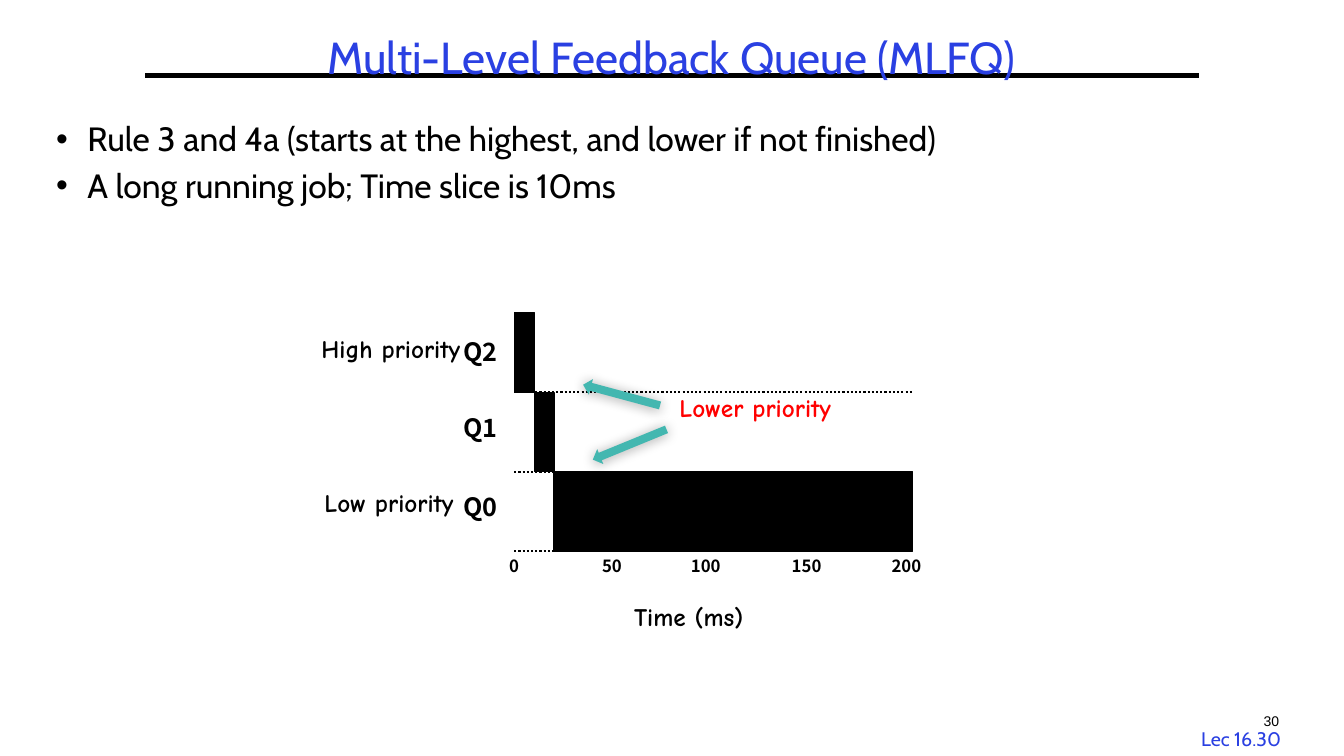
from dataclasses import dataclass

from lxml import etree
from pptx import Presentation
from pptx.dml.color import RGBColor
from pptx.enum.dml import MSO_LINE
from pptx.enum.shapes import MSO_CONNECTOR, MSO_SHAPE
from pptx.enum.text import MSO_ANCHOR, PP_ALIGN
from pptx.oxml.ns import qn
from pptx.util import Inches, Pt

CENTER, LEFT = PP_ALIGN.CENTER, PP_ALIGN.LEFT
TOP, MIDDLE = MSO_ANCHOR.TOP, MSO_ANCHOR.MIDDLE
RECT, LEFT_ARROW = MSO_SHAPE.RECTANGLE, MSO_SHAPE.LEFT_ARROW
STRAIGHT, DOTTED = MSO_CONNECTOR.STRAIGHT, MSO_LINE.ROUND_DOT

CABIN, COMIC, NOTO = "Cabin", "Comic Neue", "Noto Sans CJK KR"
BLACK, BLUE, RED, TEAL = "000000", "2A40E2", "FF0000", "43B7B0"

CHART_LEFT, CHART_RIGHT, CHART_TOP = 5.1, 9.05, 3.1
QUEUE_H = 0.79
INCHES_PER_MS = (CHART_RIGHT - CHART_LEFT) / 200


@dataclass
class Label:
    text: str
    x: float
    y: float
    w: float
    h: float
    size: float
    font: str
    color: str = BLACK
    bold: bool = False
    align: PP_ALIGN = CENTER
    anchor: MSO_ANCHOR = TOP
    wrap: bool = True
    spacing: float = 1.0


@dataclass
class Queue:
    name: str
    label_y: float
    start_ms: float
    run_ms: float


@dataclass
class Arrow:
    x: float
    y: float
    rotation: float


QUEUES = [
    Queue("Q2", 3.29, 0, 10),
    Queue("Q1", 4.04, 10, 10),
    Queue("Q0", 4.83, 20, 180),
]
TICKS = [("0", 5.1), ("50", 6.07), ("100", 7.0), ("150", 8.0), ("200", 8.99)]
NOTES = [
    ("Time (ms)", 6.19, 5.92, 1.4, BLACK),
    ("High priority", 3.09, 3.26, 1.76, BLACK),
    ("Low priority", 3.12, 4.79, 1.67, BLACK),
    ("Lower priority", 6.64, 3.84, 1.93, RED),
]
ARROWS = [Arrow(5.77, 3.84, 15.1), Arrow(5.85, 4.33, 337.7)]
BULLETS = [
    "Rule 3 and 4a (starts at the highest, and lower if not finished)",
    "A long running job; Time slice is 10ms",
]


def rgb(color: str) -> RGBColor:
    return RGBColor.from_string(color)


def style_runs(p, size: float, font: str, color: str, bold: bool = False) -> None:
    for r in p.runs:
        r.font.size = Pt(size)
        r.font.name = font
        r.font.bold = bold
        r.font.color.rgb = rgb(color)


def add_label(slide, label: Label) -> None:
    sp = slide.shapes.add_textbox(
        Inches(label.x), Inches(label.y), Inches(label.w), Inches(label.h))
    tf = sp.text_frame
    tf.word_wrap = label.wrap
    tf.vertical_anchor = label.anchor
    tf.text = label.text
    p = tf.paragraphs[0]
    p.alignment = label.align
    p.line_spacing = label.spacing
    style_runs(p, label.size, label.font, label.color, label.bold)


def add_rule(slide, x1: float, x2: float, y: float, width: float, dash=None) -> None:
    line = slide.shapes.add_connector(
        STRAIGHT, Inches(x1), Inches(y), Inches(x2), Inches(y))
    line.line.color.rgb = rgb(BLACK)
    line.line.width = Pt(width)
    if dash is not None:
        line.line.dash_style = dash
    etree.SubElement(line._element.spPr, qn("a:effectLst"))


def add_bullets(slide, texts: list[str]) -> None:
    sp = slide.shapes.add_textbox(Inches(0.46), Inches(1.17), Inches(12.4), Inches(5.62))
    tf = sp.text_frame
    tf.word_wrap = True
    tf.text = "\n".join(texts)
    for i, p in enumerate(tf.paragraphs):
        pPr = p._p.get_or_add_pPr()
        pPr.set("marL", str(Inches(0.31)))
        pPr.set("indent", str(Inches(-0.31)))
        etree.SubElement(pPr, qn("a:buFont")).set("typeface", "Arial")
        etree.SubElement(pPr, qn("a:buChar")).set("char", "•")
        p.line_spacing = 0.9
        if i:
            p.space_before = Pt(7)
        style_runs(p, 24, CABIN, BLACK)


def add_queue(slide, queue: Queue, top: float) -> None:
    add_rule(slide, CHART_LEFT, CHART_RIGHT, top + QUEUE_H, 1.5, DOTTED)
    sp = slide.shapes.add_shape(
        RECT, Inches(CHART_LEFT + queue.start_ms * INCHES_PER_MS), Inches(top),
        Inches(queue.run_ms * INCHES_PER_MS), Inches(QUEUE_H))
    sp.shadow.inherit = False
    sp.fill.solid()
    sp.fill.fore_color.rgb = rgb(BLACK)
    sp.line.color.rgb = rgb(BLACK)
    sp.line.width = Pt(0.75)
    add_label(slide, Label(queue.name, 4.42, queue.label_y, 0.69, 0.4, 18, NOTO, bold=True))


def add_arrow(slide, arrow: Arrow) -> None:
    sp = slide.shapes.add_shape(
        LEFT_ARROW, Inches(arrow.x), Inches(arrow.y), Inches(0.79), Inches(0.16))
    sp.rotation = arrow.rotation
    sp.fill.solid()
    sp.fill.fore_color.rgb = rgb(TEAL)
    sp.line.fill.background()
    sp.shadow.inherit = False
    effects = sp._element.spPr.find(qn("a:effectLst"))
    shadow = etree.SubElement(effects, qn("a:outerShdw"), blurRad=str(Pt(9)),
                              dist=str(Pt(1)), dir="5400000", rotWithShape="0")
    tint = etree.SubElement(shadow, qn("a:srgbClr"), val=BLACK)
    etree.SubElement(tint, qn("a:alpha"), val="35000")


def main() -> None:
    prs = Presentation()
    prs.slide_width, prs.slide_height = Inches(13.33), Inches(7.5)
    slide = prs.slides.add_slide(prs.slide_layouts[6])

    add_label(slide, Label("Lec 16.30", 11.77, 7.16, 1.08, 0.33, 14, CABIN, BLUE, wrap=False))
    add_rule(slide, 1.44, 11.89, 0.75, 3)
    add_label(slide, Label("30", 12.36, 7.02, 0.5, 0.4, 10, "Arial"))
    add_label(slide, Label("Multi-Level Feedback Queue (MLFQ)", 0.46, 0.3, 12.4, 0.58,
                           32, CABIN, BLUE, anchor=MIDDLE, spacing=0.9))
    add_bullets(slide, BULLETS)

    for i, queue in enumerate(QUEUES):
        add_queue(slide, queue, CHART_TOP + i * QUEUE_H)
    for text, center in TICKS:
        add_label(slide, Label(text, center - 0.3, 5.46, 0.6, 0.3, 12, NOTO, bold=True))
    for text, x, y, w, color in NOTES:
        add_label(slide, Label(text, x, y, w, 0.4, 18, COMIC, color,
                               bold=True, align=LEFT, wrap=False))
    for arrow in ARROWS:
        add_arrow(slide, arrow)

    prs.save("out.pptx")


if __name__ == "__main__":
    main()
